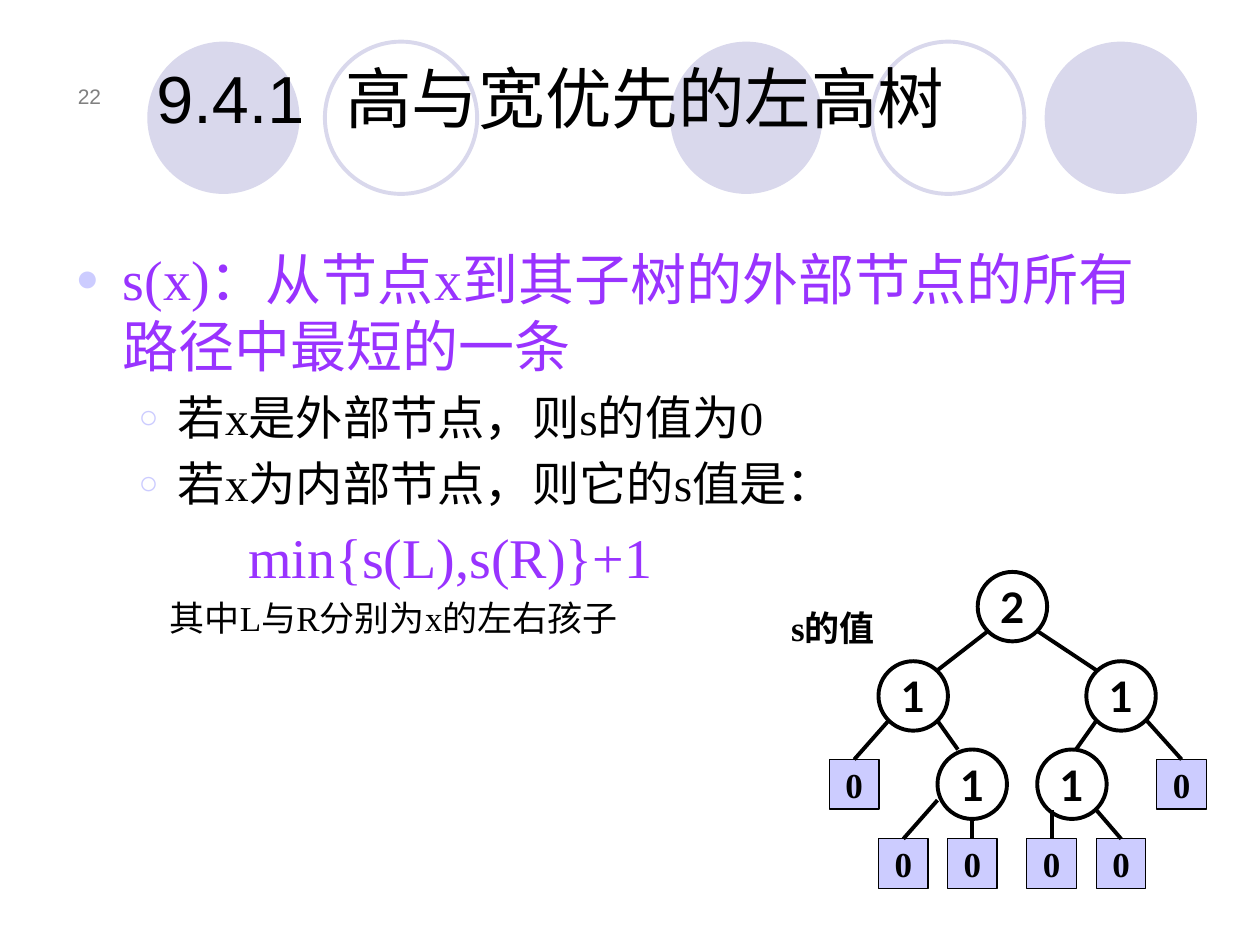
from lxml import etree
from pptx import Presentation
from pptx import util as u
from pptx.dml import color
from pptx.enum import shapes, text
from pptx.oxml import ns

BLACK, VIOLET, LILAC, PALE, GREY = "000000", "9933FF", "CCCCFF", "D9D8EC", "808080"
SERIF = "Times New Roman"


def rgb(value):
    return color.RGBColor.from_string(value)


def apply(target, formats):
    for name, value in formats.items():
        setattr(target, name, value)


def place(shape, box):
    names = ("left", "top", "width", "height")
    apply(shape, dict(zip(names, map(u.Cm, box))))


def write(paragraph, words, size, font_name, hex_color, bold=False):
    run = paragraph.add_run()
    run.text = words
    apply(run.font, {"size": u.Pt(size), "name": font_name, "bold": bold})
    run.font.color.rgb = rgb(hex_color)


def paint(shape, fill=None, line=None, width=0):
    shape.shadow.inherit = False
    if fill:
        shape.fill.solid()
        shape.fill.fore_color.rgb = rgb(fill)
    else:
        shape.fill.background()
    if line:
        shape.line.color.rgb = rgb(line)
        shape.line.width = u.Pt(width)
    else:
        shape.line.fill.background()


def set_indent(paragraph, margin, indent, bullet=None):
    properties = paragraph._p.get_or_add_pPr()
    properties.set("marL", str(u.Cm(margin)))
    properties.set("indent", str(u.Cm(indent)))
    if not bullet:
        etree.SubElement(properties, ns.qn("a:buNone"))
        return
    bullet_color = etree.SubElement(properties, ns.qn("a:buClr"))
    etree.SubElement(bullet_color, ns.qn("a:srgbClr"), val=LILAC)
    etree.SubElement(properties, ns.qn("a:buSzPct"), val="70000")
    etree.SubElement(properties, ns.qn("a:buFont"), typeface="Arial")
    etree.SubElement(properties, ns.qn("a:buChar"), char=bullet)


def add_circle_band(slide, left, top, diameter):
    group = slide.shapes.add_group_shape()
    for offset, filled in ((0, True), (3.58, False), (10.54, True), (14.61, False), (18.09, True)):
        box = map(u.Cm, (left + offset, top, diameter, diameter))
        circle = group.shapes.add_shape(shapes.MSO_SHAPE.OVAL, *box)
        if filled:
            paint(circle, fill=PALE)
        else:
            paint(circle, line=PALE, width=2.25)
    slide.shapes._spTree.remove(group._element)
    slide.shapes._spTree.insert(2, group._element)


def add_page_number(slide, box):
    shape = slide.shapes.add_textbox(*map(u.Cm, box))
    apply(shape.text_frame, {"word_wrap": True, "vertical_anchor": text.MSO_ANCHOR.BOTTOM})
    paragraph = shape.text_frame.paragraphs[0]
    paragraph.alignment = text.PP_ALIGN.RIGHT
    write(paragraph, "22", 12, "Arial", GREY)


def fill_title(slide, box):
    title = slide.shapes.title
    place(title, box)
    apply(title.text_frame, {"vertical_anchor": text.MSO_ANCHOR.BOTTOM, "auto_size": text.MSO_AUTO_SIZE.NONE})
    paragraph = title.text_frame.paragraphs[0]
    paragraph.alignment = text.PP_ALIGN.LEFT
    write(paragraph, "9.4.1\t高与宽优先的左高树", 38, "Arial", BLACK)


def fill_body(slide, box):
    body = slide.placeholders[1]
    place(body, box)
    frame = body.text_frame
    frame.auto_size = text.MSO_AUTO_SIZE.NONE
    lines = (
        ("s(x)：从节点x到其子树的外部节点的所有路径中最短的一条", 0, 32, VIOLET, 0.95, -0.95, "●"),
        ("若x是外部节点，则s的值为0", 1, 27, BLACK, 2.06, -0.79, "○"),
        ("若x为内部节点，则它的s值是：", 1, 27, BLACK, 2.06, -0.79, "○"),
        ("min{s(L),s(R)}+1", 0, 32, VIOLET, 3.48, 0, None),
        ("其中L与R分别为x的左右孩子", 0, 20, BLACK, 1.9, 0, None),
    )
    for index, (words, level, size, hex_color, margin, indent, bullet) in enumerate(lines):
        paragraph = frame.add_paragraph() if index else frame.paragraphs[0]
        paragraph.level = level
        set_indent(paragraph, margin, indent, bullet)
        write(paragraph, words, size, SERIF, hex_color)


def add_node(slide, kind, box, words, size, font_name, fill, width):
    node = slide.shapes.add_shape(kind, *map(u.Cm, box))
    paint(node, fill, BLACK, width)
    apply(node.text_frame, {"word_wrap": False, "vertical_anchor": text.MSO_ANCHOR.MIDDLE})
    paragraph = node.text_frame.paragraphs[0]
    paragraph.alignment = text.PP_ALIGN.CENTER
    write(paragraph, words, size, font_name, BLACK, bold=True)
    return node


def add_edge(slide, start, end):
    points = map(u.Cm, (*start, *end))
    edge = slide.shapes.add_connector(shapes.MSO_CONNECTOR.STRAIGHT, *points)
    edge.line.color.rgb = rgb(BLACK)
    edge.line.width = u.Pt(2.25)
    etree.SubElement(edge._element.spPr, ns.qn("a:effectLst"))
    return edge


def add_tree(slide, left, top):
    def at(x, y):
        return left + x, top + y

    label = slide.shapes.add_textbox(*map(u.Cm, (*at(0, 0.58), 2.41, 1.09)))
    label.text_frame.word_wrap = True
    write(label.text_frame.paragraphs[0], "s的值", 20, SERIF, BLACK, bold=True)

    diameter, side = 1.4, 1
    inner_nodes = (("2", 4.01, 0), ("1", 2.01, 1.8), ("1", 6.2, 1.8), ("1", 3.2, 3.58), ("1", 5.21, 3.58))
    for words, x, y in inner_nodes:
        box = (*at(x, y), diameter, diameter)
        add_node(slide, shapes.MSO_SHAPE.OVAL, box, words, 24, "Lato", None, 2.25)

    inner_edges = (
        ((4.22, 1.19), (3.2, 1.98)),
        ((5.21, 1.19), (6.4, 1.98)),
        ((3.2, 3), (3.61, 3.58)),
        ((6.4, 3), (5.99, 3.58)),
    )
    for start, end in inner_edges:
        add_edge(slide, at(*start), at(*end))

    leaves = (
        ((1.02, 3.78), (2.21, 3)),
        ((2.01, 5.38), (3.2, 4.6)),
        ((3.4, 5.38), (3.9, 5)),
        ((5, 5.38), (5.5, 4.8)),
        ((6.4, 5.38), (6.4, 4.8)),
        ((7.62, 3.78), (7.42, 3)),
    )
    for (x, y), start in leaves:
        box = (*at(x, y), side, side)
        leaf = add_node(slide, shapes.MSO_SHAPE.RECTANGLE, box, "0", 20, SERIF, LILAC, 0.75)
        edge = add_edge(slide, at(*start), at(x + side / 2, y))
        edge.end_connect(leaf, 0)


def main():
    presentation = Presentation()
    apply(presentation, {"slide_width": u.Cm(25.4), "slide_height": u.Cm(19.05)})
    slide = presentation.slides.add_slide(presentation.slide_layouts[1])
    add_circle_band(slide, 2.97, 0.84, 3.07)
    add_page_number(slide, (0.89, 1.12, 1.4, 1.19))
    fill_title(slide, (2.9, 0.53, 21.82, 2.36))
    fill_body(slide, (1.27, 4.8, 22.71, 6.43))
    add_tree(slide, 15.7, 11.53)
    presentation.save("out.pptx")


if __name__ == "__main__":
    main()
